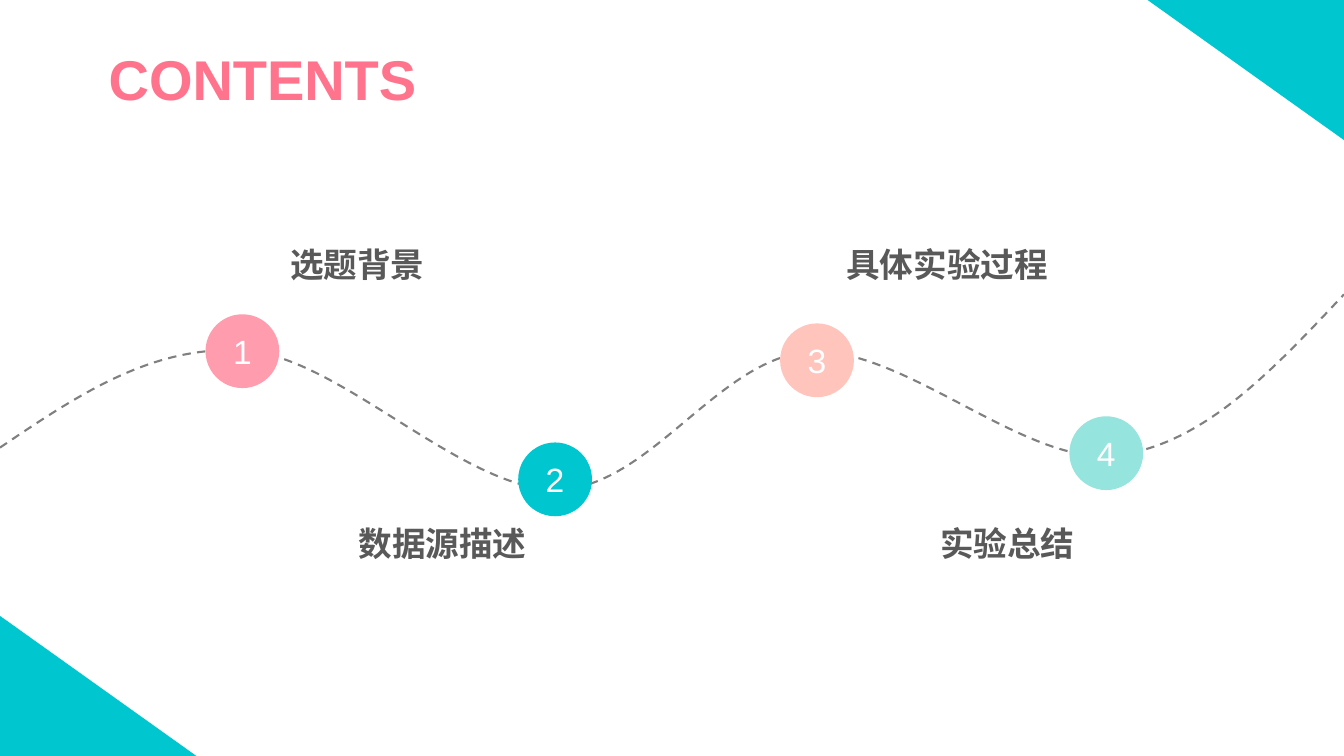
from lxml import etree
from pptx import Presentation
from pptx.dml.color import RGBColor
from pptx.enum import dml, shapes, text
from pptx.oxml import ns
from pptx.util import Cm, Pt

TEAL = RGBColor(0x00, 0xC6, 0xCF)
PINK = RGBColor(0xFF, 0x9D, 0xAE)
PEACH = RGBColor(0xFF, 0xC5, 0xBD)
MINT = RGBColor(0x96, 0xE4, 0xDE)
ROSE = RGBColor(0xFF, 0x74, 0x8C)
GREY = RGBColor(0x80, 0x80, 0x80)
DARK = RGBColor(0x59, 0x59, 0x59)
WHITE = RGBColor(0xFF, 0xFF, 0xFF)

LATIN = "Arial"
CHINESE = "Noto Sans CJK SC"
LEFT, RIGHT = text.PP_ALIGN.LEFT, text.PP_ALIGN.RIGHT

WIDTH, HEIGHT = 33.87, 19.05
CORNER_WIDTH, CORNER_HEIGHT = 4.95, 3.53
DOT = 1.86
LABEL_WIDTH, LABEL_HEIGHT = 8.41, 1.47

ROAD_START = (0, 11.28)
ROAD_CURVES = [
    ((1.93, 9.98), (3.86, 8.66), (6.2, 8.84)),
    ((8.53, 8.99), (11.63, 12.32), (14, 12.34)),
    ((16.36, 12.34), (18.08, 9.02), (20.42, 8.86)),
    ((22.78, 8.74), (25.83, 11.73), (28.07, 11.48)),
    ((30.3, 11.25), (32.08, 9.32), (WIDTH, 7.42)),
]
STOPS = [
    ("选题背景", PINK, (5.18, 7.92), (7.06, 5.82), LEFT),
    ("数据源描述", TEAL, (13.06, 11.15), (5.11, 12.85), RIGHT),
    ("具体实验过程", PEACH, (19.66, 8.15), (21.08, 5.82), LEFT),
    ("实验总结", MINT, (26.95, 10.49), (18.92, 12.85), RIGHT),
]


def write(frame, words, font_name, size, color, align, bold=False):
    para = frame.paragraphs[0]
    para.text = words
    para.alignment = align
    font = para.font
    font.name, font.size, font.bold = font_name, Pt(size), bold
    font.color.rgb = color
    east_asian = etree.SubElement(font._element, ns.qn("a:ea"))
    east_asian.set("typeface", font_name)
    return para


def add_filled(page, kind, left, top, width, height, color):
    shape = page.shapes.add_shape(kind, Cm(left), Cm(top), Cm(width), Cm(height))
    shape.shadow.inherit = False
    shape.fill.solid()
    shape.fill.fore_color.rgb = color
    shape.line.fill.background()
    return shape


def add_heading(page, left, top, width, height, words, font_name, size, color, align):
    box = page.shapes.add_textbox(Cm(left), Cm(top), Cm(width), Cm(height))
    box.text_frame.word_wrap = True
    box.text_frame.auto_size = text.MSO_AUTO_SIZE.SHAPE_TO_FIT_TEXT
    para = write(box.text_frame, words, font_name, size, color, align, bold=True)
    para.line_spacing = 1.2


def add_road(page, start, curves):
    builder = page.shapes.build_freeform(Cm(start[0]), Cm(start[1]))
    builder.add_line_segments([(Cm(x), Cm(y)) for _, _, (x, y) in curves], close=False)
    road = builder.convert_to_shape()
    road.shadow.inherit = False
    road.fill.background()
    road.line.color.rgb = GREY
    road.line.width = Pt(1.5)
    road.line.dash_style = dml.MSO_LINE.DASH
    segments = list(road._element.iter(ns.qn("a:lnTo")))
    for segment, curve in zip(segments, curves):
        bezier = etree.Element(ns.qn("a:cubicBezTo"))
        for x, y in curve:
            point = etree.SubElement(bezier, ns.qn("a:pt"))
            point.set("x", str(Cm(x) - road.left))
            point.set("y", str(Cm(y) - road.top))
        segment.getparent().replace(segment, bezier)


def add_dot(page, left, top, number, color):
    dot = add_filled(page, shapes.MSO_SHAPE.OVAL, left, top, DOT, DOT, color)
    frame = dot.text_frame
    frame.word_wrap = False
    frame.vertical_anchor = text.MSO_ANCHOR.MIDDLE
    write(frame, str(number), LATIN, 24, WHITE, text.PP_ALIGN.CENTER)


def add_corners(page, width, height):
    places = [
        (width - CORNER_WIDTH, 0, 180),
        (0, height - CORNER_HEIGHT, 0),
    ]
    for left, top, turn in places:
        corner = add_filled(page, shapes.MSO_SHAPE.RIGHT_TRIANGLE, left, top,
                            CORNER_WIDTH, CORNER_HEIGHT, TEAL)
        corner.rotation = turn


def add_contents_slide(deck):
    page = deck.slides.add_slide(deck.slide_layouts[6])
    add_road(page, ROAD_START, ROAD_CURVES)
    for number, (label, color, dot_at, label_at, align) in enumerate(STOPS, 1):
        add_dot(page, *dot_at, number, color)
        add_heading(page, *label_at, LABEL_WIDTH, LABEL_HEIGHT,
                    label, CHINESE, 24, DARK, align)
    add_heading(page, 2.49, 0.66, LABEL_WIDTH, 2.31, "CONTENTS", LATIN, 40, ROSE, LEFT)
    add_corners(page, WIDTH, HEIGHT)


def main():
    deck = Presentation()
    deck.slide_width, deck.slide_height = Cm(WIDTH), Cm(HEIGHT)
    add_contents_slide(deck)
    deck.save("out.pptx")


if __name__ == "__main__":
    main()
